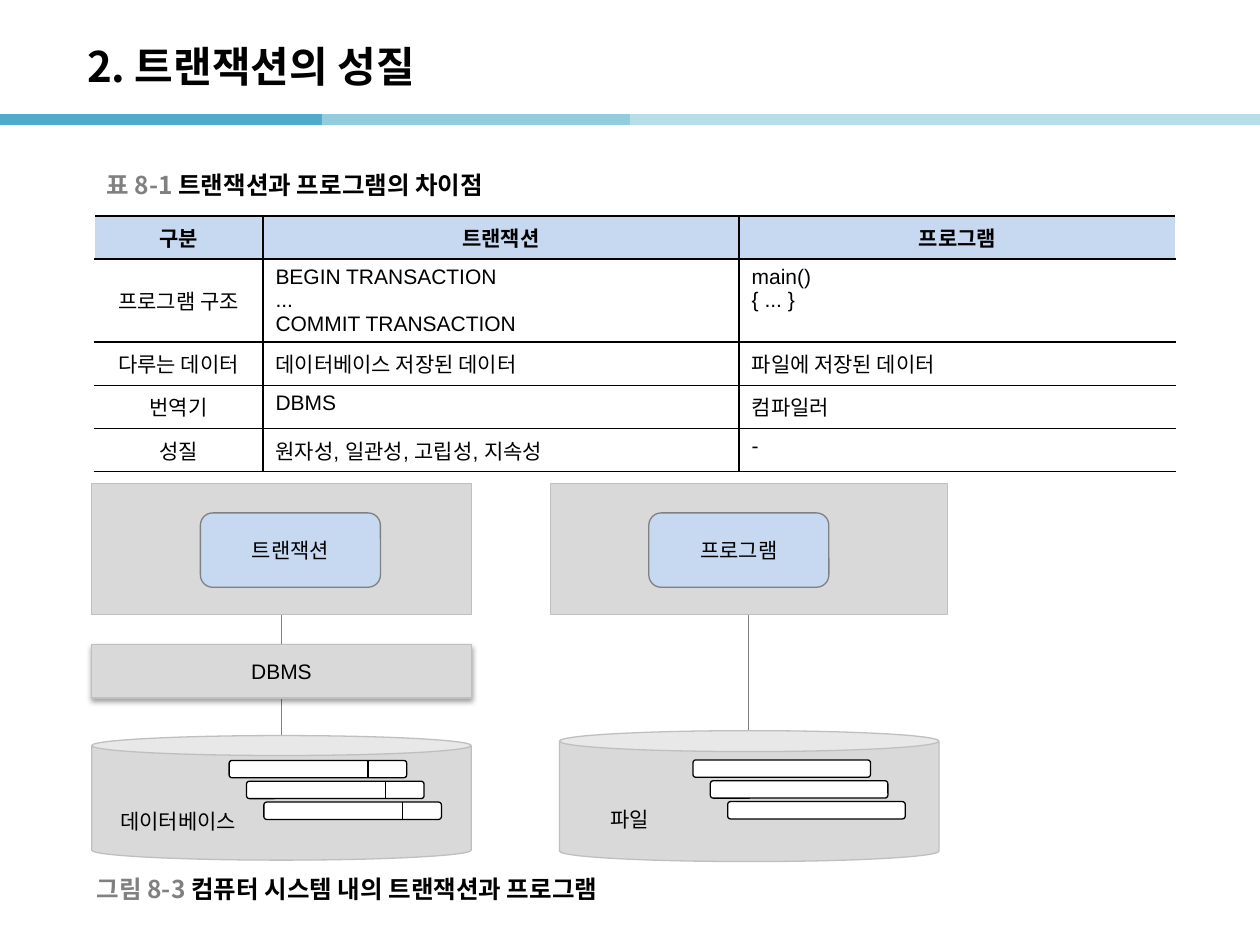
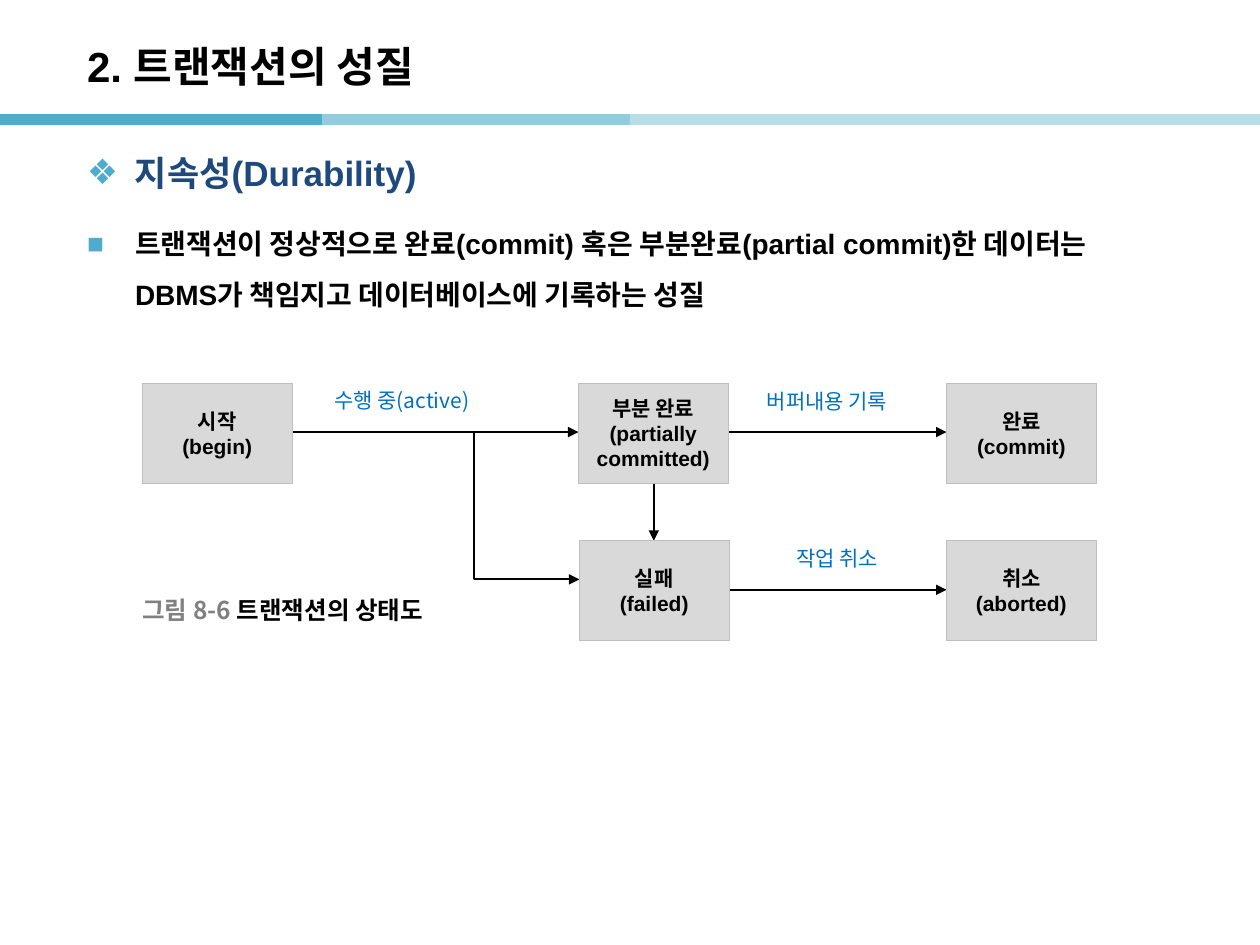
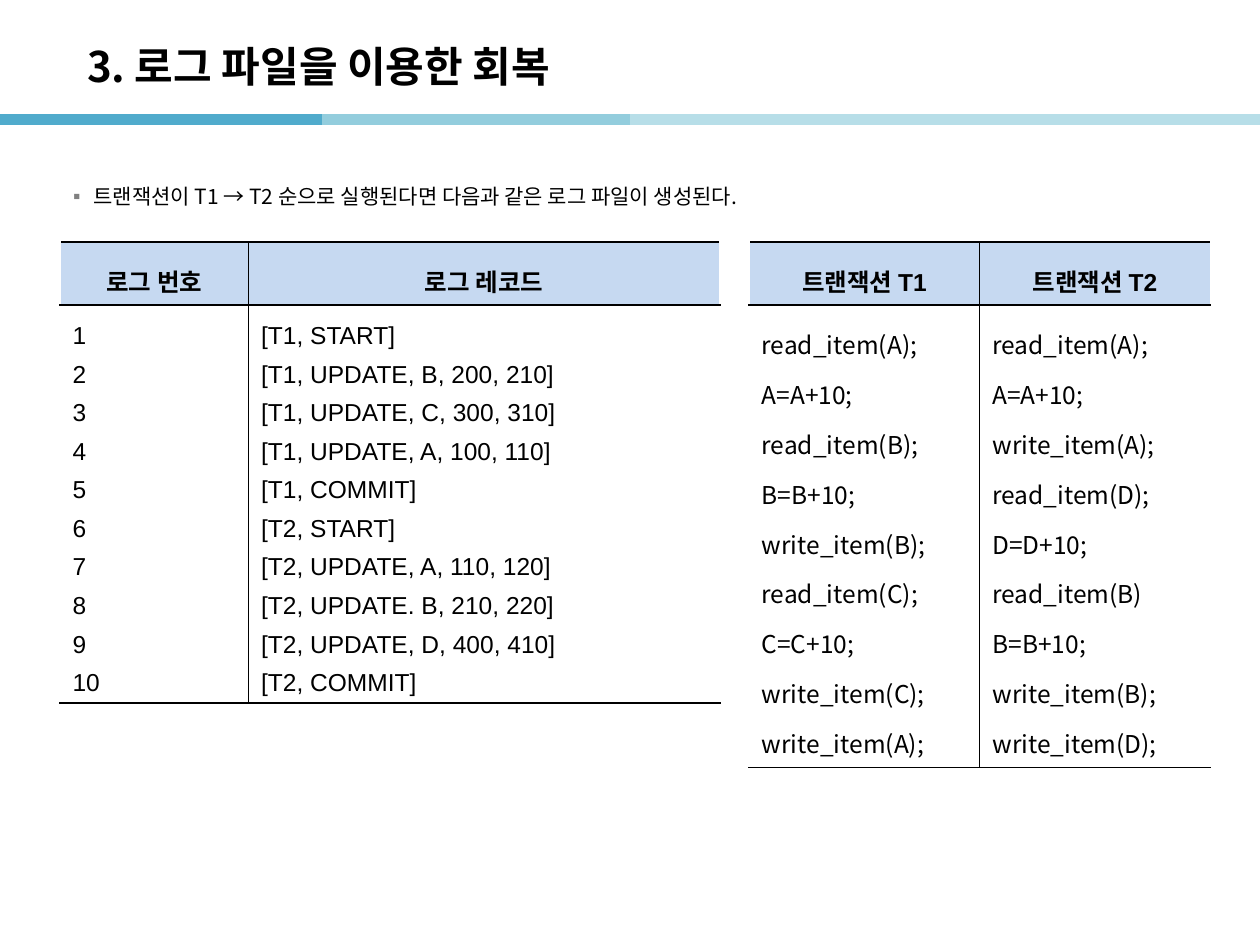
"""Build three lecture slides on transaction properties and log-based recovery."""
from lxml.etree import SubElement
from pptx import Presentation
from pptx.dml.color import RGBColor
from pptx.enum.shapes import MSO_CONNECTOR as LINK, MSO_SHAPE as SHAPE
from pptx.enum.text import MSO_ANCHOR as ANCHOR, MSO_AUTO_SIZE as FIT, PP_ALIGN as ALIGN
from pptx.oxml.ns import qn
from pptx.util import Cm, Pt

BLACK = RGBColor(0x00, 0x00, 0x00)
WHITE = RGBColor(0xFF, 0xFF, 0xFF)
GRAY = RGBColor(0x80, 0x80, 0x80)
PANEL = RGBColor(0xD9, 0xD9, 0xD9)
EDGE = RGBColor(0xBF, 0xBF, 0xBF)
PALE_BLUE = RGBColor(0xC6, 0xD9, 0xF1)
LABEL_BLUE = RGBColor(0x00, 0x70, 0xC0)
NAVY = RGBColor(0x1F, 0x49, 0x7D)
TEAL = RGBColor(0x50, 0xAB, 0xCC)
MID_TEAL = RGBColor(0x93, 0xCD, 0xDD)
LIGHT_TEAL = RGBColor(0xB7, 0xDE, 0xE8)
ARIAL = "Arial"
NOTO = "Noto Sans CJK KR"


def write(frame, text, size, font=ARIAL, colour=BLACK, bold=False, align=ALIGN.LEFT, spacing=1.0):
    """Continue the last paragraph of the frame; each further line is a new paragraph."""
    for index, line in enumerate(text.split("\n")):
        para = frame.add_paragraph() if index else frame.paragraphs[-1]
        para.alignment = align
        para.line_spacing = spacing
        para.space_before = Pt(0)
        span = para.add_run()
        span.text = line
        span.font.size = Pt(size)
        span.font.name = font
        span.font.bold = bold
        span.font.color.rgb = colour
        SubElement(span.font._element, qn("a:ea"), typeface=NOTO)


def add_line(page, kind, x1, y1, x2, y2, colour=BLACK, width=1.0, arrow=False):
    """Draw a shadowless connector between two points given in centimetres."""
    line = page.shapes.add_connector(kind, Cm(x1), Cm(y1), Cm(x2), Cm(y2))
    line.line.color.rgb = colour
    line.line.width = Pt(width)
    properties = line._element.spPr
    if arrow:
        SubElement(properties.find(qn("a:ln")), qn("a:tailEnd"), type="triangle")
    SubElement(properties, qn("a:effectLst"))
    return line


deck = Presentation()
deck.slide_width = Cm(25.4)
deck.slide_height = Cm(19.05)

pages = []
for layout, title, font in [
    (5, "2. 트랜잭션의 성질", NOTO),
    (1, "2. 트랜잭션의 성질", ARIAL),
    (1, "3. 로그 파일을 이용한 회복", NOTO),
]:
    page = deck.slides.add_slide(deck.slide_layouts[layout])
    heading = page.shapes.title
    heading.left, heading.top, heading.width, heading.height = Cm(1.5), Cm(0.56), Cm(21), Cm(1.52)
    heading.text_frame.auto_size = FIT.NONE
    heading.text_frame.vertical_anchor = ANCHOR.MIDDLE
    write(heading.text_frame, title, 24, font, bold=True)
    pages.append(page)
difference, durability, recovery = pages

master_tree = deck.slide_master.shapes._spTree
bands = [(0, 6.5, TEAL), (6.5, 13, MID_TEAL), (12.7, 19.2, LIGHT_TEAL), (18.95, 25.4, LIGHT_TEAL)]
for number, (start, end, colour) in enumerate(bands, 20):
    band = add_line(difference, LINK.STRAIGHT, start, 2.41, end, 2.41, colour, 6)
    band._element.nvCxnSpPr.cNvPr.set("id", str(number))
    master_tree.append(band._element)

durability_heading = durability.shapes.add_textbox(Cm(1.5), Cm(2.92), Cm(22.4), Cm(1.32))
durability_body = durability.placeholders[1]
recovery_body = recovery.placeholders[1]
for body, top, left, height in [(durability_body, 4.11, 1.5, 13.2), (recovery_body, 3.58, 1.22, 15.19)]:
    body.left, body.top, body.width, body.height = Cm(left), Cm(top), Cm(22.4), Cm(height)

for box, text, size, font, colour, bold, align, spacing, symbol, symbol_colour, indent in [
    (durability_heading, "지속성(Durability)", 20, ARIAL, NAVY, True, ALIGN.JUSTIFY, 1.0, "❖", TEAL, 0.97),
    (durability_body,
     "트랜잭션이 정상적으로 완료(commit) 혹은 부분완료(partial commit)한 데이터는 "
     "DBMS가 책임지고 데이터베이스에 기록하는 성질",
     16, ARIAL, BLACK, True, ALIGN.LEFT, 1.5, "■", TEAL, 0.97),
    (recovery_body, "트랜잭션이 T1 → T2 순으로 실행된다면 다음과 같은 로그 파일이 생성된다.",
     12, NOTO, BLACK, False, ALIGN.LEFT, 1.0, "▪", GRAY, 0.41),
]:
    frame = box.text_frame
    frame.word_wrap = True
    frame.auto_size = FIT.NONE
    write(frame, text, size, font, colour, bold, align, spacing)
    properties = frame.paragraphs[0]._p.get_or_add_pPr()
    properties.set("marL", str(Cm(indent)))
    properties.set("indent", str(-Cm(indent)))
    bullet_colour = SubElement(properties, qn("a:buClr"))
    SubElement(bullet_colour, qn("a:srgbClr"), val=str(symbol_colour))
    SubElement(properties, qn("a:buFont"), typeface=ARIAL)
    SubElement(properties, qn("a:buChar"), char=symbol)
recovery_body.text_frame.paragraphs[0].level = 1
recovery_body.text_frame.paragraphs[0].space_after = Pt(4)

difference_rows = [
    ["구분", "트랜잭션", "프로그램"],
    ["프로그램 구조", "BEGIN TRANSACTION\n...\nCOMMIT TRANSACTION", "main()\n{ ... }"],
    ["다루는 데이터", "데이터베이스 저장된 데이터", "파일에 저장된 데이터"],
    ["번역기", "DBMS", "컴파일러"],
    ["성질", "원자성, 일관성, 고립성, 지속성", "-"],
]
log_records = [
    "[T1, START]", "[T1, UPDATE, B, 200, 210]", "[T1, UPDATE, C, 300, 310]",
    "[T1, UPDATE, A, 100, 110]", "[T1, COMMIT]", "[T2, START]",
    "[T2, UPDATE, A, 110, 120]", "[T2, UPDATE. B, 210, 220]",
    "[T2, UPDATE, D, 400, 410]", "[T2, COMMIT]",
]
log_numbers = [str(number) for number in range(1, len(log_records) + 1)]
log_rows = [["로그 번호", "로그 레코드"], ["\n".join(log_numbers), "\n".join(log_records)]]
first_steps = [
    "read_item(A);", "A=A+10;", "read_item(B);", "B=B+10;", "write_item(B);",
    "read_item(C);", "C=C+10;", "write_item(C);", "write_item(A);",
]
second_steps = [
    "read_item(A);", "A=A+10;", "write_item(A);", "read_item(D);", "D=D+10;",
    "read_item(B)", "B=B+10;", "write_item(B);", "write_item(D);",
]
step_rows = [["트랜잭션 T1", "트랜잭션 T2"], ["\n".join(first_steps), "\n".join(second_steps)]]

for page, left, top, widths, heights, rows, size, body_font, spacing, centre_first in [
    (difference, 1.9, 4.35, [3.4, 9.6, 8.8], [0.87, 1.67, 0.87, 0.87, 0.87],
     difference_rows, 12, ARIAL, 1.0, True),
    (recovery, 1.21, 4.88, [3.8, 9.5], [1.27, 8.02], log_rows, 14, ARIAL, 1.4, False),
    (recovery, 15.1, 4.88, [4.65, 4.65], [1.27, 9.31], step_rows, 14, NOTO, 1.4, False),
]:
    table = page.shapes.add_table(
        len(rows), len(widths), Cm(left), Cm(top), Cm(sum(widths)), Cm(sum(heights))).table
    table.first_row = False
    table.horz_banding = False
    for column, width in zip(table.columns, widths):
        column.width = Cm(width)
    for row_index, (row, height) in enumerate(zip(rows, heights)):
        table.rows[row_index].height = Cm(height)
        for column_index, text in enumerate(row):
            cell = table.cell(row_index, column_index)
            header = row_index == 0
            centred = header or (centre_first and column_index == 0)
            sides = ["lnL"] if column_index else []
            if column_index < len(row) - 1:
                sides.append("lnR")
            for side in sides + ["lnT", "lnB"]:
                border = SubElement(cell._tc.get_or_add_tcPr(), qn(f"a:{side}"), w=str(Pt(1)))
                paint = SubElement(border, qn("a:solidFill"))
                SubElement(paint, qn("a:srgbClr"), val=str(BLACK))
            cell.fill.solid()
            cell.fill.fore_color.rgb = PALE_BLUE if header else WHITE
            cell.vertical_anchor = ANCHOR.MIDDLE if centred else ANCHOR.TOP
            write(cell.text_frame, text, size, ARIAL if header else body_font, bold=header,
                  align=ALIGN.CENTER if centred else ALIGN.LEFT, spacing=spacing)

for x1, y1, x2, y2 in [(5.69, 12.4, 5.66, 14.86), (15.09, 12.4, 15.09, 14.73)]:
    add_line(difference, LINK.ELBOW, x1, y1, x2, y2, GRAY)
for kind, x1, y1, x2, y2 in [
    (LINK.STRAIGHT, 4.47, 8.71, 11.66, 8.71),
    (LINK.STRAIGHT, 14.68, 8.71, 19.08, 8.71),
    (LINK.STRAIGHT, 14.7, 11.89, 19.08, 11.89),
    (LINK.STRAIGHT, 13.18, 9.73, 13.18, 10.9),
    (LINK.ELBOW, 7.42, 8.71, 11.68, 11.68),
]:
    add_line(durability, kind, x1, y1, x2, y2, arrow=True)

shapes = [
    (difference, SHAPE.RECTANGLE, 1.85, 9.75, 7.65, 2.64, PANEL, EDGE, 0.75, ""),
    (difference, SHAPE.RECTANGLE, 11.1, 9.75, 8, 2.64, PANEL, EDGE, 0.75, ""),
    (difference, SHAPE.CAN, 1.85, 14.83, 7.65, 2.51, PANEL, EDGE, 0.75, ""),
    (difference, SHAPE.CAN, 11.28, 14.73, 7.65, 2.64, PANEL, EDGE, 0.75, ""),
    (difference, SHAPE.ROUNDED_RECTANGLE, 4.04, 10.34, 3.63, 1.5, PALE_BLUE, GRAY, 0.75, "트랜잭션"),
    (difference, SHAPE.ROUNDED_RECTANGLE, 13.08, 10.34, 3.63, 1.5, PALE_BLUE, GRAY, 0.75, "프로그램"),
    (difference, SHAPE.RECTANGLE, 1.85, 13, 7.65, 1.07, PANEL, EDGE, 0.75, "DBMS"),
]
for left, top, state in [
    (2.87, 7.73, "시작\n(begin)"),
    (11.66, 7.73, "부분 완료\n(partially committed)"),
    (19.08, 7.73, "완료\n(commit)"),
    (11.68, 10.9, "실패\n(failed)"),
    (19.08, 10.9, "취소\n(aborted)"),
]:
    shapes.append((durability, SHAPE.RECTANGLE, left, top, 3.02, 2.01, PANEL, EDGE, 0.5, state))
record_starts = [(4.62, 15.33), (13.97, 15.32)]
for left, top in record_starts:
    for step in range(3):
        shapes.append((difference, SHAPE.ROUNDED_RECTANGLE, left + 0.35 * step, top + 0.42 * step,
                       3.58, 0.35, WHITE, BLACK, 0.75, ""))

for page, kind, left, top, width, height, fill, edge, weight, text in shapes:
    box = page.shapes.add_shape(kind, Cm(left), Cm(top), Cm(width), Cm(height))
    box.shadow.inherit = False
    box.fill.solid()
    box.fill.fore_color.rgb = fill
    box.line.color.rgb = edge
    box.line.width = Pt(weight)
    if kind == SHAPE.CAN:
        box.adjustments[0] = 0.16
    if text:
        box.text_frame.word_wrap = True
        box.text_frame.vertical_anchor = ANCHOR.MIDDLE
        write(box.text_frame, text, 12, bold=page is durability, align=ALIGN.CENTER)
    if text == "DBMS":
        effects = box._element.spPr.find(qn("a:effectLst"))
        shadow = SubElement(effects, qn("a:outerShdw"), blurRad=str(Pt(3.1)), dist=str(Pt(1.6)),
                            dir="5400000", rotWithShape="0")
        shade = SubElement(shadow, qn("a:srgbClr"), val=str(BLACK))
        SubElement(shade, qn("a:alpha"), val="38000")

left, top = record_starts[0]
for step in range(3):
    x, y = left + 2.8 + 0.35 * step, top + 0.42 * step
    add_line(difference, LINK.STRAIGHT, x, y, x, y + 0.35, width=0.75)

for page, left, top, width, text, font, colour in [
    (difference, 1.27, 16.18, 4.65, "데이터베이스", ARIAL, BLACK),
    (difference, 11.66, 16.13, 2.08, "파일", ARIAL, BLACK),
    (durability, 6.27, 7.7, 3.66, "수행 중(active)", NOTO, LABEL_BLUE),
    (durability, 14.2, 7.72, 4.95, "버퍼내용 기록", NOTO, LABEL_BLUE),
    (durability, 14.4, 10.87, 4.95, "작업 취소", NOTO, LABEL_BLUE),
]:
    label = page.shapes.add_textbox(Cm(left), Cm(top), Cm(width), Cm(0.75))
    label.text_frame.word_wrap = True
    label.text_frame.vertical_anchor = ANCHOR.MIDDLE
    write(label.text_frame, text, 12, font, colour, align=ALIGN.CENTER)

for page, left, top, width, number, text in [
    (difference, 1.9, 3.33, 9, "표 8-1 ", "트랜잭션과 프로그램의 차이점"),
    (difference, 1.7, 17.53, 11.5, "그림 8-3 ", "컴퓨터 시스템 내의 트랜잭션과 프로그램"),
    (durability, 2.62, 11.89, 6.8, "그림 8-6 ", "트랜잭션의 상태도"),
]:
    caption = page.shapes.add_textbox(Cm(left), Cm(top), Cm(width), Cm(0.79))
    caption.text_frame.word_wrap = True
    caption.text_frame.vertical_anchor = ANCHOR.MIDDLE
    write(caption.text_frame, number, 14, NOTO, GRAY, bold=True)
    write(caption.text_frame, text, 14, NOTO, bold=True)

deck.save("out.pptx")
